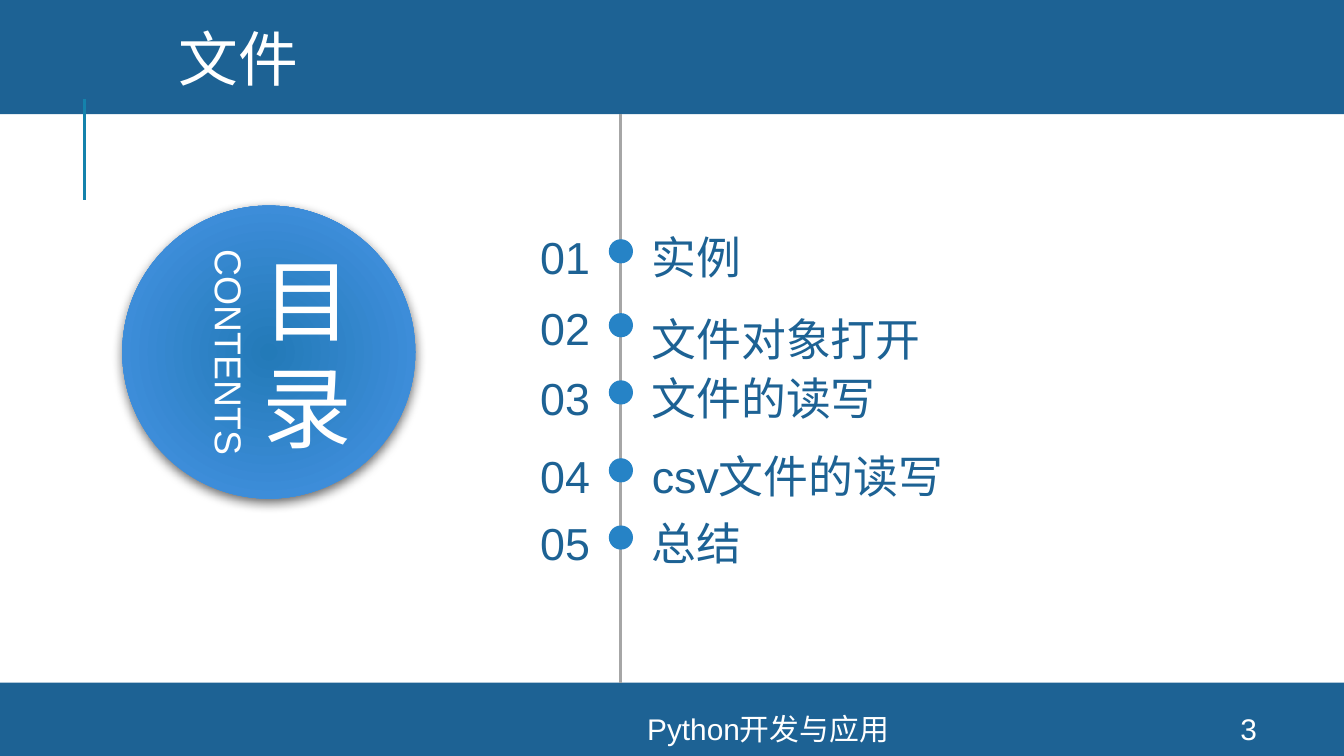
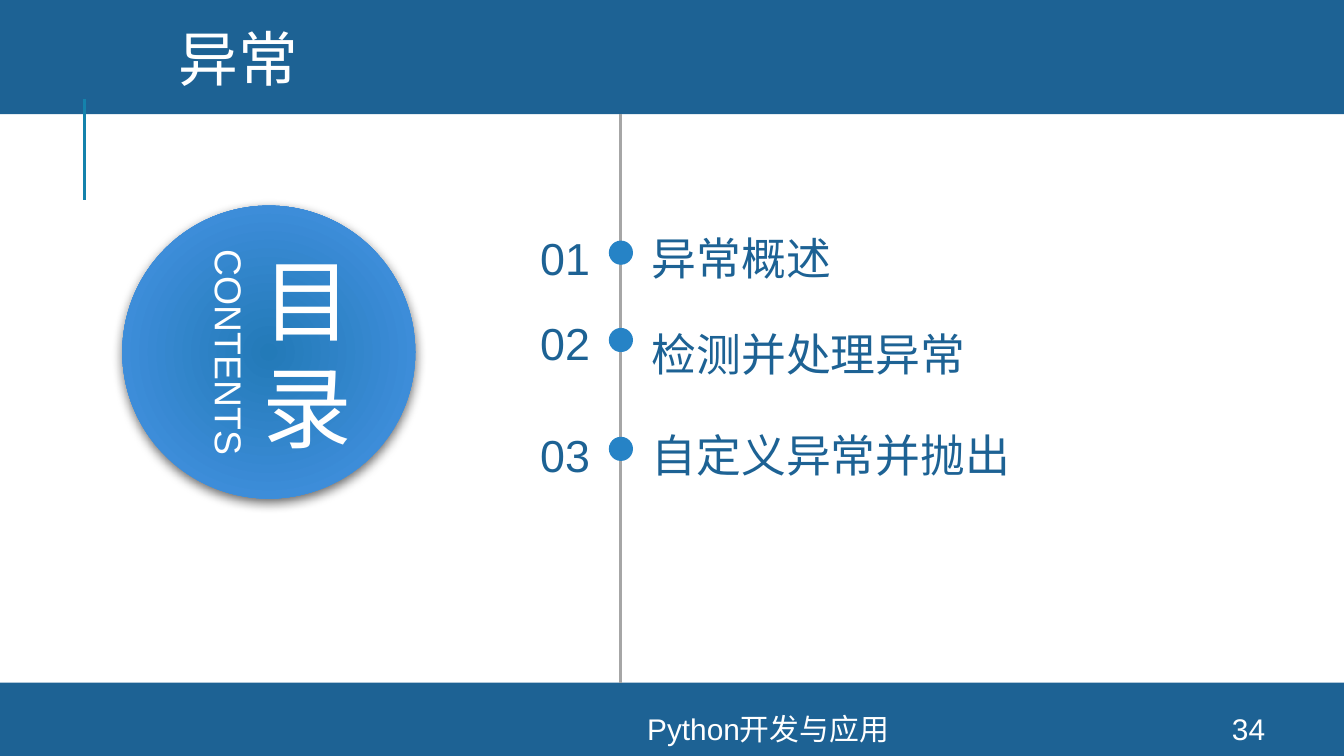
import pptx
import pptx.util
import pptx.dml.color
import pptx.enum.shapes
import pptx.enum.text
import pptx.oxml
import pptx.oxml.ns
import lxml.etree

COLS, ROWS = 100, 56.25
HUES = {
    "band": "1D6294", "tick": "1482AC", "rule": "A6A6A6", "dot": "2683C6",
    "core": "237AB8", "rim": "4895E7", "white": "FFFFFF", "black": "000000",
}
LATIN, HAN = "Arial", "Noto Sans CJK SC"
SHAPE = pptx.enum.shapes.MSO_SHAPE
ALIGN = pptx.enum.text.PP_ALIGN
ANCHOR = pptx.enum.text.MSO_ANCHOR
FIT = pptx.enum.text.MSO_AUTO_SIZE
qn = pptx.oxml.ns.qn


def hue(name):
    return pptx.dml.color.RGBColor.from_string(HUES[name])


def sub(node, tag, **attrs):
    return lxml.etree.SubElement(node, qn(tag), attrs)


class Deck:
    """Draws on the current slide; lengths are in square grid cells."""

    def __init__(self):
        self.prs = pptx.Presentation()
        self.prs.slide_width = pptx.util.Inches(10)
        self.prs.slide_height = pptx.util.Inches(5.625)
        self.cell = self.prs.slide_width / COLS

    def grid(self, *cells):
        return [pptx.util.Emu(round(n * self.cell)) for n in cells]

    def start(self):
        layout = self.prs.slide_layouts.get_by_name("Title Only")
        self.slide = self.prs.slides.add_slide(layout)
        self.items = self.slide.shapes

    def shape(self, kind, box, fill):
        item = self.items.add_shape(kind, *self.grid(*box))
        item.shadow.inherit = False
        item.fill.solid()
        item.fill.fore_color.rgb = hue(fill)
        item.line.fill.background()
        return item

    def line(self, col, top, end, color):
        item = self.items.add_connector(
            pptx.enum.shapes.MSO_CONNECTOR.STRAIGHT, *self.grid(col, top, col, end))
        item.line.color.rgb = hue(color)
        item.line.width = pptx.util.Pt(1.5)
        sub(item._element.spPr, "a:effectLst")

    def letter(self, item, lines, size, color="white", align=ALIGN.CENTER,
               font=LATIN, space=None, track=0):
        """Fill a shape with one paragraph for each of the lines."""
        frame = item.text_frame
        for i, words in enumerate(lines):
            par = frame.add_paragraph() if i else frame.paragraphs[0]
            par.alignment = align
            if space:
                par.line_spacing = space
            run = par.add_run()
            run.text = words
            run.font.size = pptx.util.Pt(size)
            run.font.name = font
            run.font.color.rgb = hue(color)
            props = run.font._element
            sub(props, "a:ea", typeface=HAN)
            if track:
                props.set("spc", str(track * 100))

    def text(self, box, lines, size, middle=False, bare=False, **style):
        item = self.items.add_textbox(*self.grid(*box))
        frame = item.text_frame
        frame.word_wrap = True
        if middle:
            frame.vertical_anchor = ANCHOR.MIDDLE
        else:
            frame.auto_size = FIT.SHAPE_TO_FIT_TEXT
        if bare:
            frame.margin_left = frame.margin_right = 0
            frame.margin_top = frame.margin_bottom = 0
        self.letter(item, lines, size, **style)
        return item

    def title(self, words):
        item = self.items.title
        item.left, item.top, item.width, item.height = self.grid(11.3, 1.1, 13.1, 6.4)
        frame = item.text_frame
        frame.word_wrap = False
        frame.auto_size = FIT.SHAPE_TO_FIT_TEXT
        frame.vertical_anchor = ANCHOR.TOP
        frame.margin_left = self.grid(2)[0]
        self.letter(item, [words], 32, align=ALIGN.LEFT, font=HAN)
        # Bring the title in front of the band.
        item._element.getparent().append(item._element)

    def disc(self):
        """Badge with a radial gradient and a soft shadow below."""
        item = self.shape(SHAPE.OVAL, (9.1, 15.3, 21.8, 21.8), "core")
        item.fill.gradient()
        for stop, name in zip(item.fill.gradient_stops, ("core", "rim")):
            stop.color.rgb = hue(name)
        props = item._element.spPr
        grad = props.find(qn("a:gradFill"))
        grad.remove(grad.find(qn("a:lin")))
        way = sub(grad, "a:path", path="circle")
        sub(way, "a:fillToRect", **dict.fromkeys("ltrb", "50000"))
        shade = sub(props.find(qn("a:effectLst")), "a:outerShdw",
                    blurRad=str(pptx.util.Pt(6)), dist=str(pptx.util.Pt(2)),
                    dir="5400000", algn="t", rotWithShape="0")
        tint = sub(shade, "a:srgbClr", val=HUES["black"])
        sub(tint, "a:alpha", val="60000")

    def frame(self, number):
        self.shape(SHAPE.RECTANGLE, (0, -0.3, COLS, 8.8), "band")
        self.shape(SHAPE.RECTANGLE, (0, 50.8, COLS, ROWS - 50.8), "band")
        self.line(6.3, 7.4, 14.9, "tick")
        self.line(46.2, 8.5, 50.8, "rule")
        self.disc()
        self.text((15.8, 16.1, 14.1, 20.2), "目录", 48, middle=True, bare=True, track=6)
        self.text((6.5, 24, 21.1, 4.4), ["CONTENTS"], 20).rotation = 90
        for left, width, words in ((26.1, 62.1, "Python开发与应用"), (88.9, 8, number)):
            self.text((left, 53.1, width, 2.3), [words], 16, middle=True)

    def entry(self, index, top, words):
        loose = index == 2
        self.shape(SHAPE.OVAL, (45.3, top + (0.9 if loose else 0.7), 1.8, 1.8), "dot")
        self.text((38, top, 5.9, 4), [f"{index:02}"], 24, bare=True,
                  color="band", align=ALIGN.RIGHT)
        self.text((48.5, top, 38.7, 4.8 if loose else 4), [words], 24, bare=True,
                  color="band", align=ALIGN.LEFT, space=1.2 if loose else None)

    def agenda(self, title, number, topics):
        self.start()
        self.frame(number)
        self.title(title)
        for index, (top, words) in enumerate(topics, 1):
            self.entry(index, top, words)


def main():
    deck = Deck()
    deck.agenda("文件", "3", [
        (17.1, "实例"), (22.4, "文件对象打开"), (27.6, "文件的读写"),
        (33.4, "csv文件的读写"), (38.4, "总结"),
    ])
    deck.agenda("异常", "34", [
        (17.2, "异常概述"), (23.5, "检测并处理异常"), (31.8, "自定义异常并抛出"),
    ])
    deck.prs.save("out.pptx")


if __name__ == "__main__":
    main()
